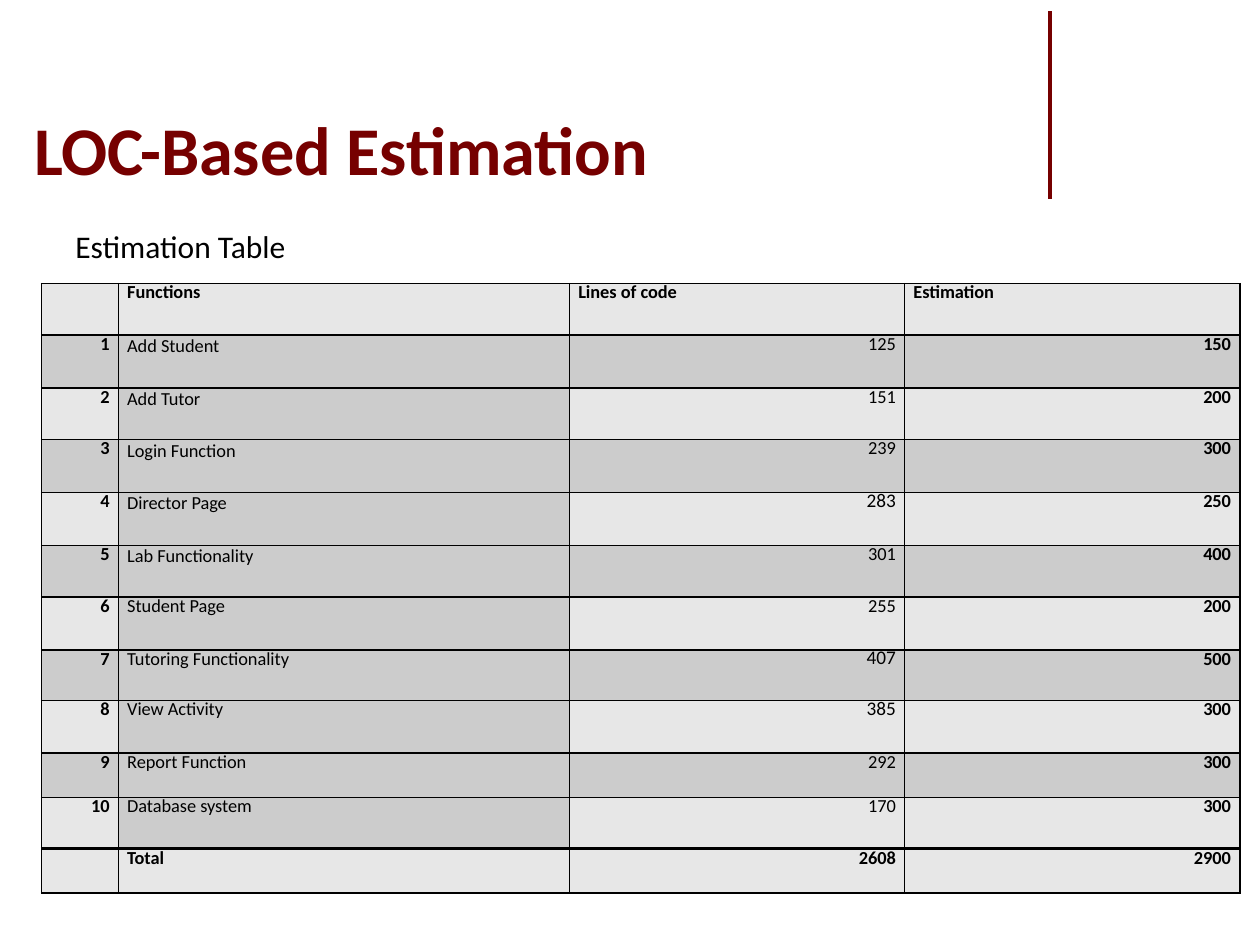
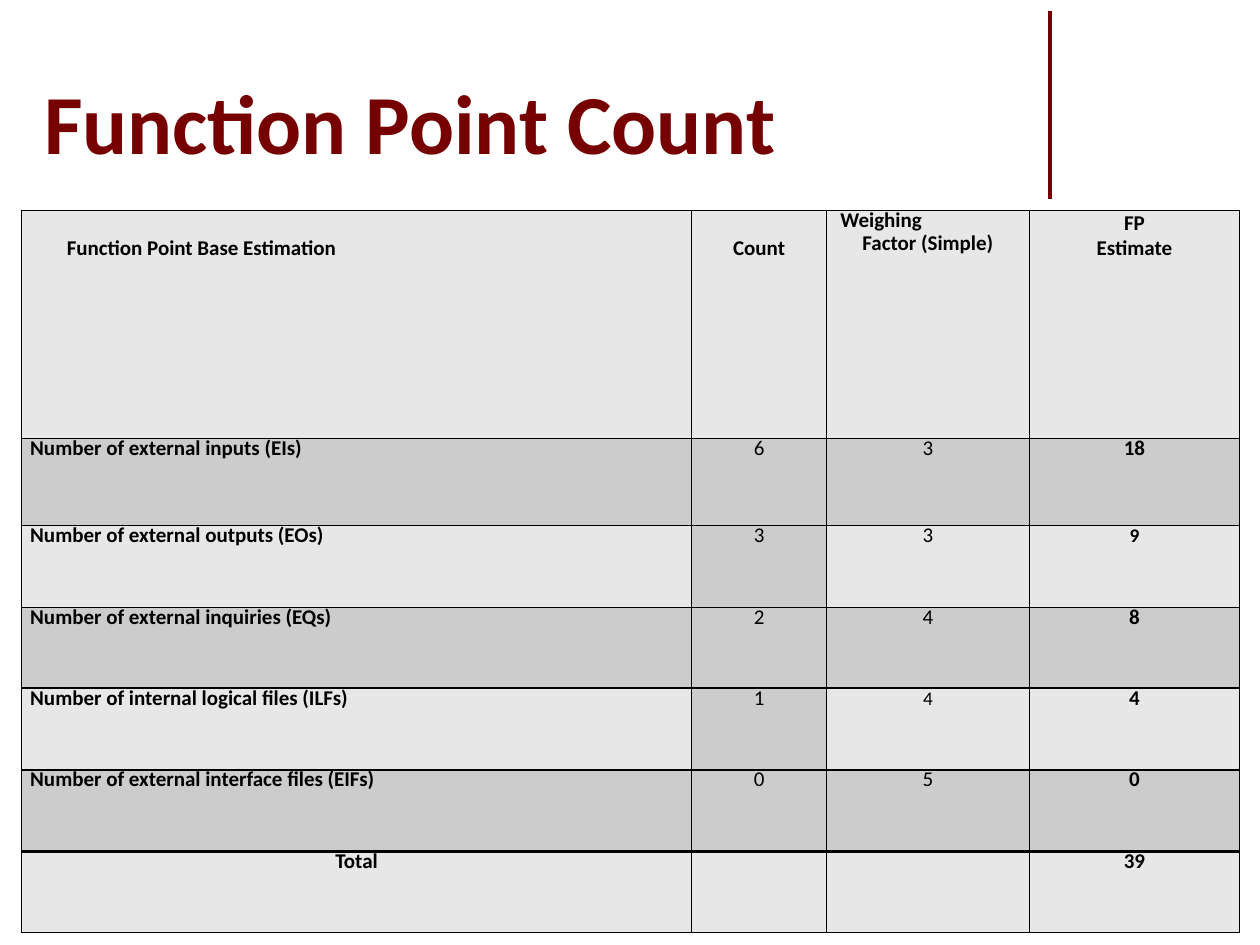
"""Build two slides of project size estimates, each with a title and a table."""
from lxml import etree
from pptx import Presentation
from pptx.dml.color import RGBColor
from pptx.enum import shapes, text
from pptx.oxml import ns
from pptx.util import Inches, Pt

HUE = {"red": "760000", "ink": "000000", "light": "E7E7E7", "dark": "CCCCCC"}
FONT = "Calibri"
SIDE = {"L": text.PP_ALIGN.LEFT, "C": text.PP_ALIGN.CENTER, "R": text.PP_ALIGN.RIGHT}

LOC = {
    "title": "LOC-Based Estimation", "size": 39, "box": (0.17, 0.13, 8.58, 1.42),
    "at": (0.33, 2.25), "cols": (0.61, 3.58, 2.66, 2.66),
    "rows": (0.41, 0.42, 0.41, 0.42, 0.42, 0.41, 0.42, 0.4, 0.42, 0.35, 0.41, 0.35),
    "sides": {"head": "LLLL", "body": "RLRR", "total": "RLRR"},
    "font": 10.5, "lead": 11.4, "pad": 0.07,
    "sizes": {(4, 2): 11, (7, 2): 11, (8, 2): 11},
    "loose": [(row, 1) for row in range(1, 6)], "pads": {},
    "cells": [
        ("", "Functions", "Lines of code", "Estimation"),
        ("1", "Add Student", "125", "150"),
        ("2", "Add Tutor", "151", "200"),
        ("3", "Login Function", "239", "300"),
        ("4", "Director Page", "283", "250"),
        ("5", "Lab Functionality", "301", "400"),
        ("6", "Student Page", "255", "200"),
        ("7", "Tutoring Functionality", "407", "500"),
        ("8", "View Activity", "385", "300"),
        ("9", "Report Function", "292", "300"),
        ("10", "Database system", "170", "300"),
        ("", "Total", "2608", "2900"),
    ],
}
POINTS = {
    "title": "Function Point Count", "size": 48, "box": (0.25, 0.13, 8.5, 1.28),
    "at": (0.17, 1.67), "cols": (5.32, 1.07, 1.61, 1.67),
    "rows": (1.81, 0.69, 0.65, 0.64, 0.65, 0.65, 0.64),
    "sides": {"head": "LCCC", "body": "LCCC", "total": "CCCC"},
    "font": 12, "lead": 13, "pad": 0.07,
    "sizes": {(2, 3): 11, (4, 2): 11},
    "loose": [(0, 0), (0, 1), (0, 3)],
    "pads": {(0, 0): (0.36, 0.2), (0, 1): (0.07, 0.2), (0, 2): (0.11, 0)},
    "cells": [
        ("Function Point Base Estimation", "Count", "Weighing\nFactor (Simple)", "FP\nEstimate"),
        ("Number of external inputs (EIs)", "6", "3", "18"),
        ("Number of external outputs (EOs)", "3", "3", "9"),
        ("Number of external inquiries (EQs)", "2", "4", "8"),
        ("Number of internal logical files (ILFs)", "1", "4", "4"),
        ("Number of external interface files (EIFs)", "0", "5", "0"),
        ("Total", "", "", "39"),
    ],
}


def color(name):
    return RGBColor.from_string(HUE[name])


def style(para, size, hue="ink", bold=False):
    for run in para.runs:
        font = run.font
        font.name, font.size, font.bold = FONT, Pt(size), bold
        font.color.rgb = color(hue)


def place(shape, box):
    shape.left, shape.top, shape.width, shape.height = map(Inches, box)


def border(cell, widths):
    props = cell._tc.get_or_add_tcPr()
    for edge, width in zip("LRTB", widths):
        line = etree.SubElement(props, ns.qn(f"a:ln{edge}"), w=str(Pt(width)))
        fill = etree.SubElement(line, ns.qn("a:solidFill"))
        etree.SubElement(fill, ns.qn("a:srgbClr"), val=HUE["ink"])


def add_rule(slide):
    line = slide.shapes.add_connector(
        shapes.MSO_CONNECTOR.STRAIGHT, *map(Inches, (8.33, 0.09, 8.33, 1.58)))
    line.line.color.rgb = color("red")
    line.line.width = Pt(2.25)
    etree.SubElement(line.element.spPr, ns.qn("a:effectLst"))
    slide.slide_layout.shapes.element.append(line.element)


def add_title(slide, data):
    title = slide.shapes.title
    place(title, data["box"])
    frame = title.text_frame
    frame.text = data["title"]
    frame.auto_size = text.MSO_AUTO_SIZE.NONE
    frame.vertical_anchor = text.MSO_ANCHOR.BOTTOM
    frame.paragraphs[0].alignment = SIDE["L"]
    style(frame.paragraphs[0], data["size"], "red", True)


def fill_cell(cell, words, spot, data):
    row, col = spot
    last = len(data["rows"]) - 1
    part = {0: "head", last: "total"}.get(row, "body")
    border(cell, (1, 1, 2 if row == last else 1, 2 if row == last - 1 else 1))
    dark = part == "body" and (row % 2 or col == 1)
    cell.fill.solid()
    cell.fill.fore_color.rgb = color("dark" if dark else "light")
    pad, top = data["pads"].get(spot, (data["pad"], 0))
    cell.margin_left = cell.margin_right = Inches(pad)
    cell.margin_top, cell.margin_bottom = Inches(top), 0
    cell.text_frame.text = words
    for para in cell.text_frame.paragraphs:
        para.alignment = SIDE[data["sides"][part][col]]
        if spot not in data["loose"]:
            para.line_spacing = Pt(data["lead"])
        style(para, data["sizes"].get(spot, data["font"]),
              bold=part != "body" or col in (0, 3))


def add_grid(slide, data):
    rows, cols = data["rows"], data["cols"]
    frame = slide.shapes.add_table(
        len(rows), len(cols), *map(Inches, (*data["at"], sum(cols), sum(rows))))
    table = frame.table
    table.first_row = table.horz_banding = False
    for col, width in zip(table.columns, cols):
        col.width = Inches(width)
    for row, height in zip(table.rows, rows):
        row.height = Inches(height)
    for row, line in enumerate(data["cells"]):
        for col, words in enumerate(line):
            fill_cell(table.cell(row, col), words, (row, col), data)
    return table


def add_label(slide, words, box):
    label = slide.shapes.add_textbox(*map(Inches, box))
    label.text_frame.word_wrap = True
    label.text_frame.text = words
    style(label.text_frame.paragraphs[0], 18)


def main():
    deck = Presentation()
    deck.slide_width, deck.slide_height = Inches(10), Inches(7.5)
    lines, points = [deck.slides.add_slide(deck.slide_layouts[5]) for _ in range(2)]
    add_rule(lines)
    for slide, data in ((lines, LOC), (points, POINTS)):
        add_title(slide, data)
        table = add_grid(slide, data)
    add_label(lines, "Estimation Table", (0.5, 1.75, 2.17, 0.4))
    table.cell(0, 2).text_frame.paragraphs[0].alignment = SIDE["L"]
    deck.save("out.pptx")


if __name__ == "__main__":
    main()
